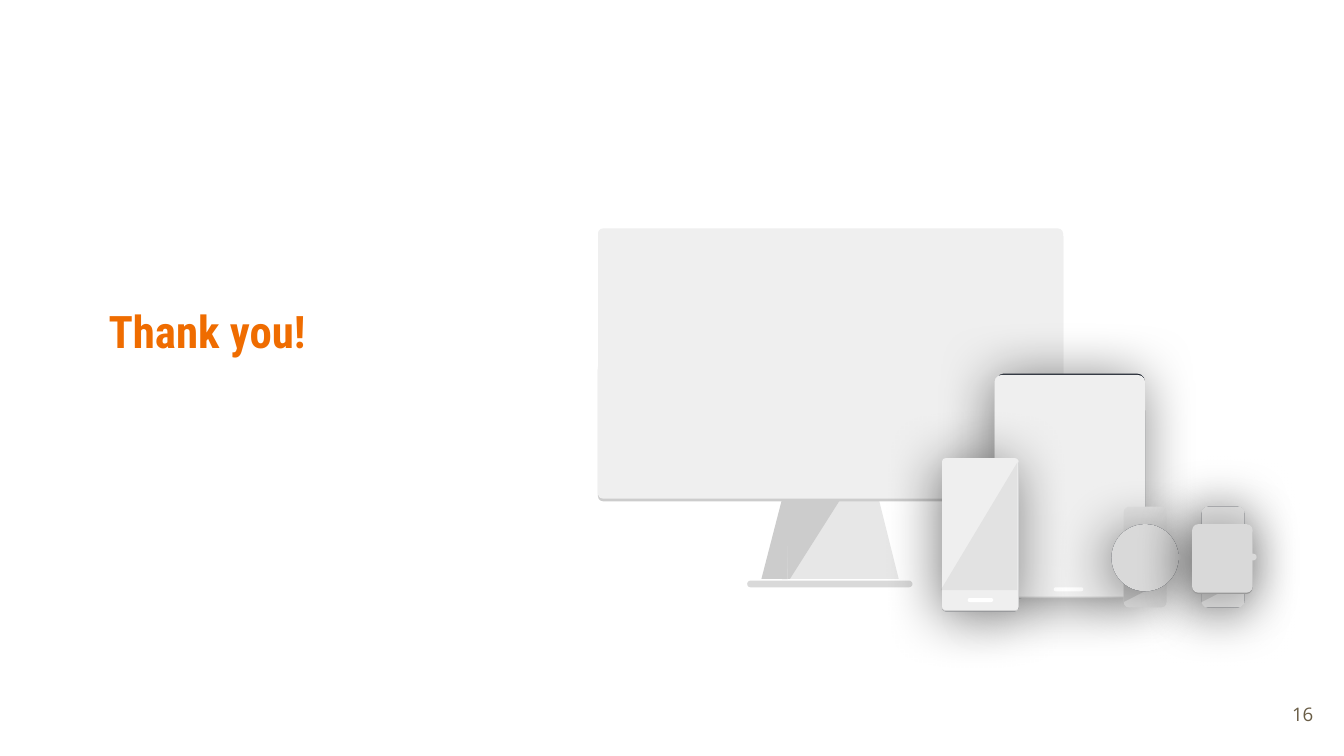
from dataclasses import dataclass

import pptx
import pptx.dml.color
import pptx.enum.shapes
import pptx.enum.text
import pptx.oxml
import pptx.oxml.ns
import pptx.util
from pptx.util import Inches

SHAPE = pptx.enum.shapes.MSO_SHAPE
ALIGN = pptx.enum.text.PP_ALIGN
ANCHOR = pptx.enum.text.MSO_ANCHOR
Box = tuple[float, float, float, float]


@dataclass(frozen=True)
class Theme:
    title: str = "EF6C00"
    page_number: str = "695D46"
    screen: str = "EFEFEF"
    strap: str = "E7E7E7"
    shade: str = "CCCCCC"
    metal: str = "D9D9D9"
    watch_edge: str = "999999"
    casing: str = "1B212C"
    highlight: str = "FFFFFF"
    glare: str = "000000"
    title_font: str = "Roboto Condensed"
    body_font: str = "Open Sans"
    title_size: int = 24
    page_number_size: int = 10


@dataclass(frozen=True)
class Part:
    kind: SHAPE
    box: Box
    color: str
    adjust: tuple[float, ...] = ()
    rotation: float = 0
    shadow: bool = False


@dataclass(frozen=True)
class Handheld:
    casing: Box
    body: Box
    button: Box


THEME = Theme()

MONITOR = (
    Part(SHAPE.TRAPEZOID, (5.75, 3.66, 0.94, 0.66), THEME.strap, (0.25,)),
    Part(SHAPE.ISOSCELES_TRIANGLE, (5.85, 3.72, 0.4, 0.61), THEME.shade, (0.967,), 180),
    Part(SHAPE.ISOSCELES_TRIANGLE, (5.66, 3.72, 0.16, 0.61), THEME.shade, (0.986,)),
    Part(SHAPE.ROUNDED_RECTANGLE, (5.57, 4.31, 1.21, 0.05), THEME.highlight, (0.5,)),
    Part(SHAPE.ROUNDED_RECTANGLE, (5.56, 4.32, 1.23, 0.05), THEME.metal, (0.5,)),
    Part(SHAPE.RECTANGLE, (5.82, 3.72, 0.04, 0.59), THEME.shade),
    Part(SHAPE.ROUNDED_RECTANGLE, (4.45, 1.72, 3.46, 2.01), THEME.shade, (0.019,)),
    Part(SHAPE.ROUNDED_RECTANGLE, (4.45, 1.7, 3.46, 2.01), THEME.screen, (0.018,)),
)
TABLET = Handheld((7.41, 2.78, 1.11, 1.67), (7.4, 2.79, 1.12, 1.65), (7.84, 4.37, 0.22, 0.03))
PHONE = Handheld((7.01, 3.42, 0.57, 1.13), (7.01, 3.41, 0.57, 1.13), (7.2, 4.45, 0.19, 0.03))
ROUND_WATCH_FACE = (
    Part(SHAPE.OVAL, (8.27, 3.9, 0.5, 0.5), THEME.casing, shadow=True),
    Part(SHAPE.OVAL, (8.27, 3.9, 0.5, 0.5), THEME.metal),
    Part(SHAPE.FLOWCHART_DELAY, (8.74, 4.12, 0.05, 0.05), THEME.metal),
)
SQUARE_WATCH_CASING = Part(
    SHAPE.ROUNDED_RECTANGLE, (8.94, 3.77, 0.32, 0.75), THEME.casing, (0.154,), shadow=True)
SQUARE_WATCH_FACE = (
    Part(SHAPE.ROUNDED_RECTANGLE, (8.88, 3.9, 0.43, 0.49), THEME.casing, (0.123,), shadow=True),
    Part(SHAPE.ROUNDED_RECTANGLE, (8.87, 3.92, 0.45, 0.5), THEME.watch_edge, (0.102,)),
    Part(SHAPE.FLOWCHART_DELAY, (9.3, 4.12, 0.05, 0.05), THEME.metal),
    Part(SHAPE.ROUNDED_RECTANGLE, (8.87, 3.9, 0.45, 0.51), THEME.metal, (0.102,)),
)


def add_soft_shadow(shape) -> None:
    effects = pptx.oxml.parse_xml(
        f'<a:effectLst {pptx.oxml.ns.nsdecls("a")}>'
        f'<a:outerShdw blurRad="{pptx.util.Pt(30.5)}" dist="{pptx.util.Pt(3)}" '
        f'dir="{135 * 60000}" algn="ctr" rotWithShape="0">'
        '<a:srgbClr val="000000"><a:alpha val="50000"/></a:srgbClr>'
        '</a:outerShdw></a:effectLst>')
    properties = shape._element.spPr
    properties.replace(properties.find(pptx.oxml.ns.qn("a:effectLst")), effects)


def draw_part(slide, part: Part):
    shape = slide.shapes.add_shape(part.kind, *map(Inches, part.box))
    for index, value in enumerate(part.adjust):
        shape.adjustments[index] = value
    shape.rotation = part.rotation
    shape.fill.solid()
    shape.fill.fore_color.rgb = pptx.dml.color.RGBColor.from_string(part.color)
    shape.line.fill.background()
    shape.shadow.inherit = False
    if part.shadow:
        add_soft_shadow(shape)
    return shape


def draw_parts(slide, parts: tuple[Part, ...]) -> None:
    for part in parts:
        draw_part(slide, part)


def draw_handheld(slide, device: Handheld) -> None:
    left, top, width, height = device.body
    kind = SHAPE.ROUNDED_RECTANGLE
    draw_parts(slide, (
        Part(kind, device.casing, THEME.casing, (0.054,), shadow=True),
        Part(kind, (left, top + 0.01, width, height), THEME.shade, (0.046,)),
        Part(kind, device.body, THEME.screen, (0.046,)),
        Part(kind, device.button, THEME.highlight, (0.5,)),
    ))


def draw_phone_glare(slide) -> None:
    """Lay a faint diagonal tint over the phone screen."""
    glare = draw_part(slide, Part(SHAPE.RIGHT_TRIANGLE, (7, 3.44, 0.57, 0.95), THEME.glare))
    glare._element.spPr.xfrm.set("flipH", "1")
    color = glare._element.spPr.find(".//" + pptx.oxml.ns.qn("a:srgbClr"))
    color.append(pptx.oxml.parse_xml(
        f'<a:alpha {pptx.oxml.ns.nsdecls("a")} val="5000"/>'))


def draw_watch_strap(slide, left: float) -> None:
    end = SHAPE.ROUND_2_SAME_RECTANGLE
    draw_parts(slide, (
        Part(end, (left, 4.27, 0.32, 0.25), THEME.strap, (0.167, 0), 180),
        Part(SHAPE.ISOSCELES_TRIANGLE, (left + 0.03, 4.31, 0.14, 0.2), THEME.shade, (0.274,), 90),
        Part(end, (left, 3.77, 0.32, 0.25), THEME.strap, (0.167, 0)),
    ))


def add_text(slide, box: Box, text: str, font_name: str, size: int, color: str,
             anchor: ANCHOR, align: ALIGN, bold: bool = False) -> None:
    frame = slide.shapes.add_textbox(*map(Inches, box)).text_frame
    frame.word_wrap = True
    frame.vertical_anchor = anchor
    frame.margin_left = frame.margin_right = Inches(0.1)
    frame.margin_top = frame.margin_bottom = Inches(0.1)
    paragraph = frame.paragraphs[0]
    paragraph.alignment = align
    run = paragraph.add_run()
    run.text = text
    run.font.name = font_name
    run.font.size = pptx.util.Pt(size)
    run.font.bold = bold
    run.font.color.rgb = pptx.dml.color.RGBColor.from_string(color)


def main() -> None:
    presentation = pptx.Presentation()
    presentation.slide_width = Inches(10)
    presentation.slide_height = Inches(10 * 9 / 16)
    slide = presentation.slides.add_slide(presentation.slide_layouts[6])

    add_text(slide, (0.71, 2, 3.35, 0.76), "Thank you!", THEME.title_font,
             THEME.title_size, THEME.title, ANCHOR.BOTTOM, ALIGN.LEFT, bold=True)
    draw_parts(slide, MONITOR)
    draw_handheld(slide, TABLET)
    draw_handheld(slide, PHONE)
    draw_phone_glare(slide)
    draw_watch_strap(slide, 8.36)
    draw_parts(slide, ROUND_WATCH_FACE)
    draw_part(slide, SQUARE_WATCH_CASING)
    draw_watch_strap(slide, 8.94)
    draw_parts(slide, SQUARE_WATCH_FACE)
    add_text(slide, (9.27, 5.1, 0.6, 0.43), "16", THEME.body_font,
             THEME.page_number_size, THEME.page_number, ANCHOR.MIDDLE, ALIGN.RIGHT)
    presentation.save("out.pptx")


if __name__ == "__main__":
    main()
